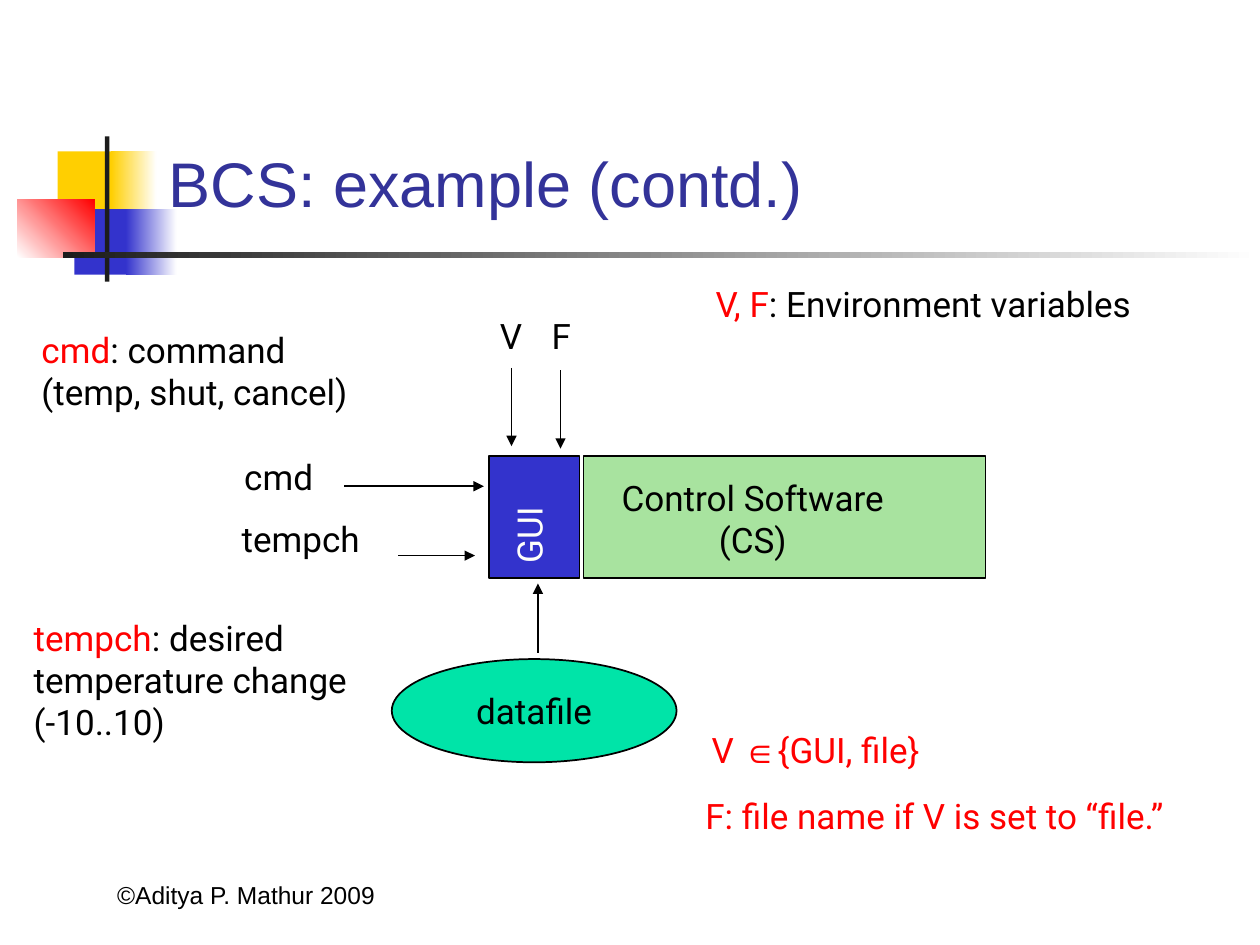
from collections import namedtuple
from dataclasses import dataclass

from lxml import etree
from pptx import Presentation
from pptx.dml.color import RGBColor
from pptx.enum.shapes import MSO_CONNECTOR, MSO_SHAPE
from pptx.enum.text import MSO_ANCHOR, PP_ALIGN
from pptx.oxml.ns import qn
from pptx.util import Pt

RECTANGLE, OVAL = MSO_SHAPE.RECTANGLE, MSO_SHAPE.OVAL
STRAIGHT = MSO_CONNECTOR.STRAIGHT
LEFT, CENTER = PP_ALIGN.LEFT, PP_ALIGN.CENTER
TOP, MIDDLE, BOTTOM = MSO_ANCHOR.TOP, MSO_ANCHOR.MIDDLE, MSO_ANCHOR.BOTTOM
TITLE_ONLY = 5

Box = namedtuple("Box", "left top width height")


@dataclass(frozen=True)
class Theme:
    title_font: str = "Arial"
    body_font: str = "Roboto"
    title_size: int = 36
    body_size: int = 20
    footer_size: int = 14
    black: str = "000000"
    white: str = "FFFFFF"
    red: str = "FF0000"
    yellow: str = "FFCF01"
    blue: str = "3333CC"
    charcoal: str = "1C1C1C"
    title: str = "333399"
    green: str = "A8E39F"
    teal: str = "00E4A8"
    gui_text: str = "FFFFFB"


THEME = Theme()


def inside(region, left, top, width, height):
    return Box(region.left + left, region.top + top, width, height)


def points(box):
    return [Pt(value) for value in box]


def style_run(run, color, size=THEME.body_size, font=THEME.body_font):
    run.font.name = font
    run.font.size = Pt(size)
    run.font.color.rgb = RGBColor.from_string(color)


def add_shape(slide, kind, box, start, end=None, angle=0, outlined=False):
    shape = slide.shapes.add_shape(kind, *points(box))
    shape.shadow.inherit = False
    if end:
        shape.fill.gradient()
        shape.fill.gradient_angle = angle
        for stop, color in zip(shape.fill.gradient_stops, (start, end)):
            stop.color.rgb = RGBColor.from_string(color)
    else:
        shape.fill.solid()
        shape.fill.fore_color.rgb = RGBColor.from_string(start)
    if outlined:
        shape.line.color.rgb = RGBColor.from_string(THEME.black)
        shape.line.width = Pt(1)
    else:
        shape.line.fill.background()
    return shape


def write_lines(text_frame, lines, alignment=LEFT, anchor=TOP, wrap=False):
    text_frame.word_wrap = wrap
    text_frame.vertical_anchor = anchor
    for index, runs in enumerate(lines):
        paragraph = text_frame.add_paragraph() if index else text_frame.paragraphs[0]
        paragraph.alignment = alignment
        for text, color, *font in runs:
            run = paragraph.add_run()
            run.text = text
            style_run(run, color, font=font[0] if font else THEME.body_font)


def add_text(slide, box, lines, **layout):
    text_box = slide.shapes.add_textbox(*points(box))
    write_lines(text_box.text_frame, lines, **layout)
    return text_box


def add_arrow(slide, region, start_x, start_y, end_x, end_y):
    start = inside(region, start_x, start_y, 0, 0)
    end = inside(region, end_x, end_y, 0, 0)
    arrow = slide.shapes.add_connector(STRAIGHT, *points(start[:2] + end[:2]))
    arrow.line.color.rgb = RGBColor.from_string(THEME.black)
    arrow.line.width = Pt(1)
    etree.SubElement(arrow.line._get_or_add_ln(), qn("a:tailEnd"), type="triangle")
    etree.SubElement(arrow._element.spPr, qn("a:effectLst"))


def add_decoration(slide, region):
    for box, *colors in (
        ((23, 8.5, 34.5, 37.5), THEME.yellow),
        ((53.5, 8.5, 26, 37.5), THEME.yellow, THEME.white),
        ((32.5, 41.5, 33, 37.5), THEME.blue),
        ((62, 41.5, 29, 37.5), THEME.blue, THEME.white),
        ((0, 36, 44, 33), THEME.white, THEME.red, 45),
        ((50, 0, 2.5, 83), THEME.charcoal),
        ((26, 66, 684, 3.5), THEME.charcoal, THEME.white),
    ):
        add_shape(slide, RECTANGLE, inside(region, *box), *colors)


def add_title(slide, region):
    title = slide.shapes.title
    title.left, title.top, title.width, title.height = points(region)
    title.text_frame.text = "BCS: example (contd.)"
    title.text_frame.vertical_anchor = BOTTOM
    paragraph = title.text_frame.paragraphs[0]
    paragraph.alignment = LEFT
    style_run(paragraph.runs[0], THEME.title, THEME.title_size, THEME.title_font)


def add_diagram(slide, region):
    block_top, block_height = 84.2, 69.8
    control_box = inside(region, 202.4, block_top, 229.7, block_height)
    add_shape(slide, RECTANGLE, control_box, THEME.green, outlined=True)
    control_lines = [[("Control Software", THEME.black)], [("(CS)", THEME.black)]]
    add_text(slide, inside(region, 212.4, 92.2, 173.5, 55.4), control_lines, alignment=CENTER)

    gui_box = inside(region, 148.4, block_top, 51.8, block_height)
    add_shape(slide, RECTANGLE, gui_box, THEME.blue, outlined=True)
    gui_label = add_text(slide, inside(region, 146.2, 111.6, 50.4, 31.7), [[("GUI", THEME.gui_text)]])
    gui_label.rotation = 270

    datafile = add_shape(slide, OVAL, inside(region, 92.9, 200.2, 162.7, 59), THEME.teal, outlined=True)
    write_lines(datafile.text_frame, [[("datafile", THEME.black)]], alignment=CENTER, anchor=MIDDLE)

    for text, left, top, width in (
        ("cmd", 1.5, 80.6, 54.7),
        ("tempch", 0, 115.9, 85.7),
        ("V", 147.6, 0, 25.9),
        ("F", 177.2, 0, 24.5),
    ):
        add_text(slide, inside(region, left, top, width, 31.7), [[(text, THEME.black)]])

    for ends in (
        (176.4, 196.6, 176.4, 157),
        (161.3, 33.8, 161.3, 78.5),
        (189.3, 35.3, 189.3, 80),
        (65.6, 101.5, 145.5, 101.5),
        (96.5, 141.1, 140.4, 141.1),
    ):
        add_arrow(slide, region, *ends)


def add_notes(slide, region):
    red, black = THEME.red, THEME.black
    for box, lines in (
        ((4.4, 26.6, 198, 55.4), [[("cmd", red), (": command", black)], [("(temp, shut, cancel)", black)]]),
        (
            (0, 190.8, 208, 79.2),
            [[("tempch", red), (": desired", black)], [("temperature change", black)], [("(-10..10)", black)]],
        ),
        ((389.6, 0, 268.6, 31.7), [[("V, F", red), (": Environment variables", black)]]),
        ((387.4, 254.9, 141, 31.7), [[("V ", red), ("∈", red, THEME.title_font), ("{GUI, file}", red)]]),
        ((383.8, 293, 288.7, 31.7), [[("F: file name if V is set to “file.”", red)]]),
    ):
        add_text(slide, inside(region, *box), lines, wrap=True)


def add_footer(slide, region):
    lines = [[("©Aditya P. Mathur 2009", THEME.black, THEME.title_font)]]
    footer = add_text(slide, region, lines, alignment=CENTER, anchor=BOTTOM, wrap=True)
    footer.text_frame.paragraphs[0].runs[0].font.size = Pt(THEME.footer_size)


def main():
    presentation = Presentation()
    presentation.slide_width, presentation.slide_height = Pt(720), Pt(540)
    slide = presentation.slides.add_slide(presentation.slide_layouts[TITLE_ONLY])
    add_decoration(slide, Box(10, 78, 710, 83))
    add_footer(slide, Box(26.6, 487.4, 228.2, 36))
    add_title(slide, Box(89.3, 78.5, 613.4, 51.1))
    add_diagram(slide, Box(131, 176.4, 432.1, 259.2))
    add_notes(slide, Box(12.2, 157.7, 672.5, 324.7))
    presentation.save("out.pptx")


if __name__ == "__main__":
    main()
